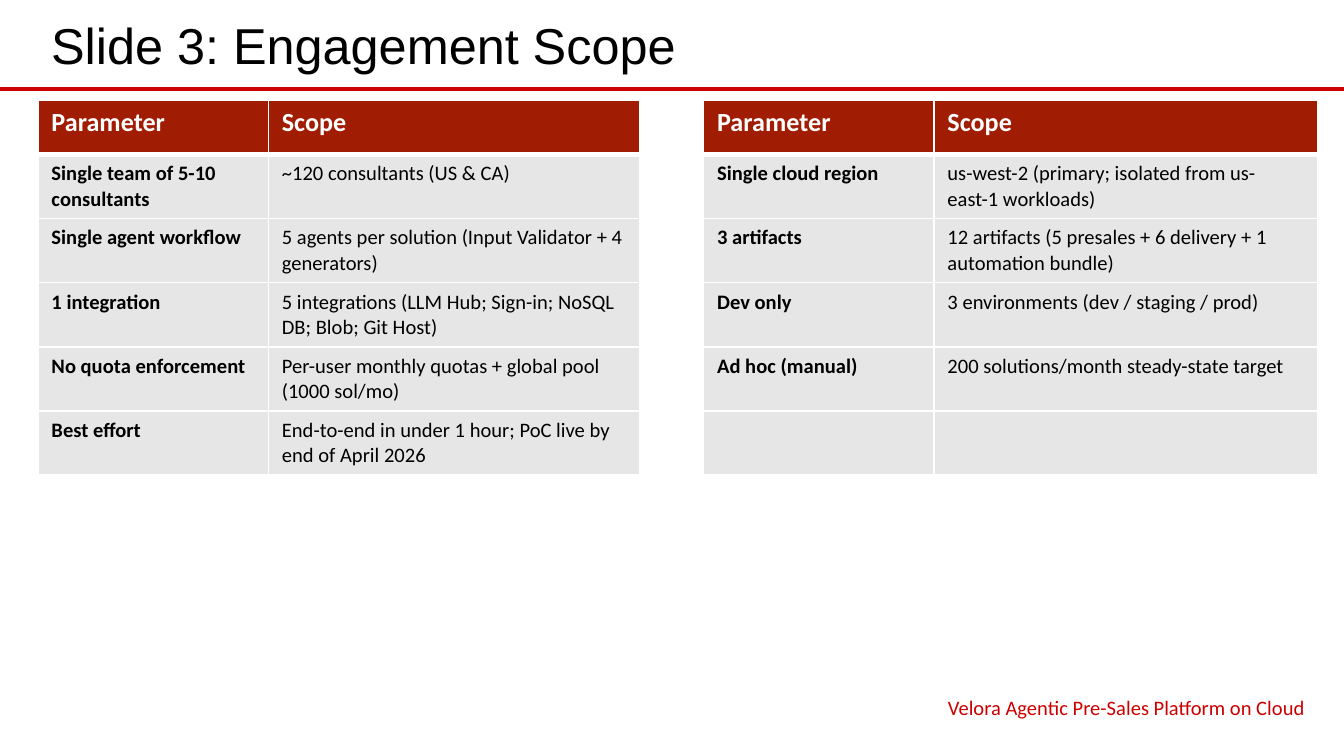
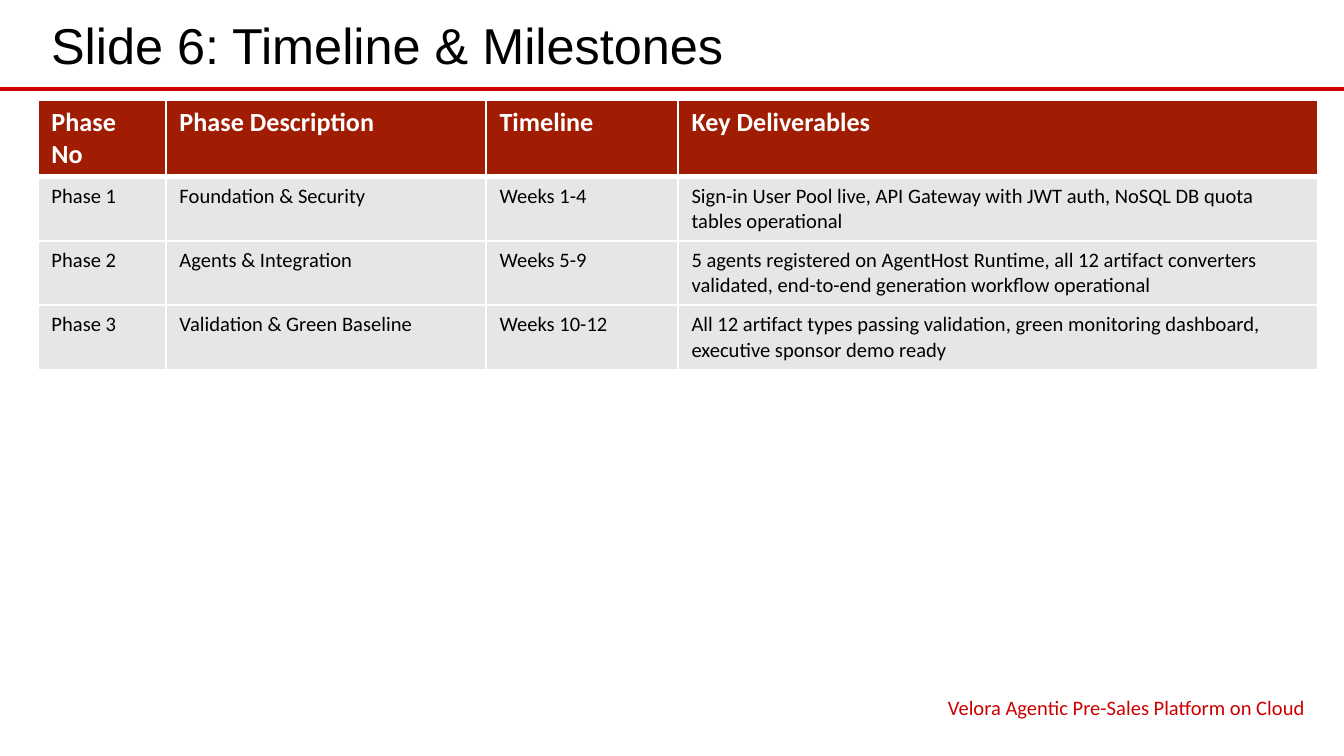
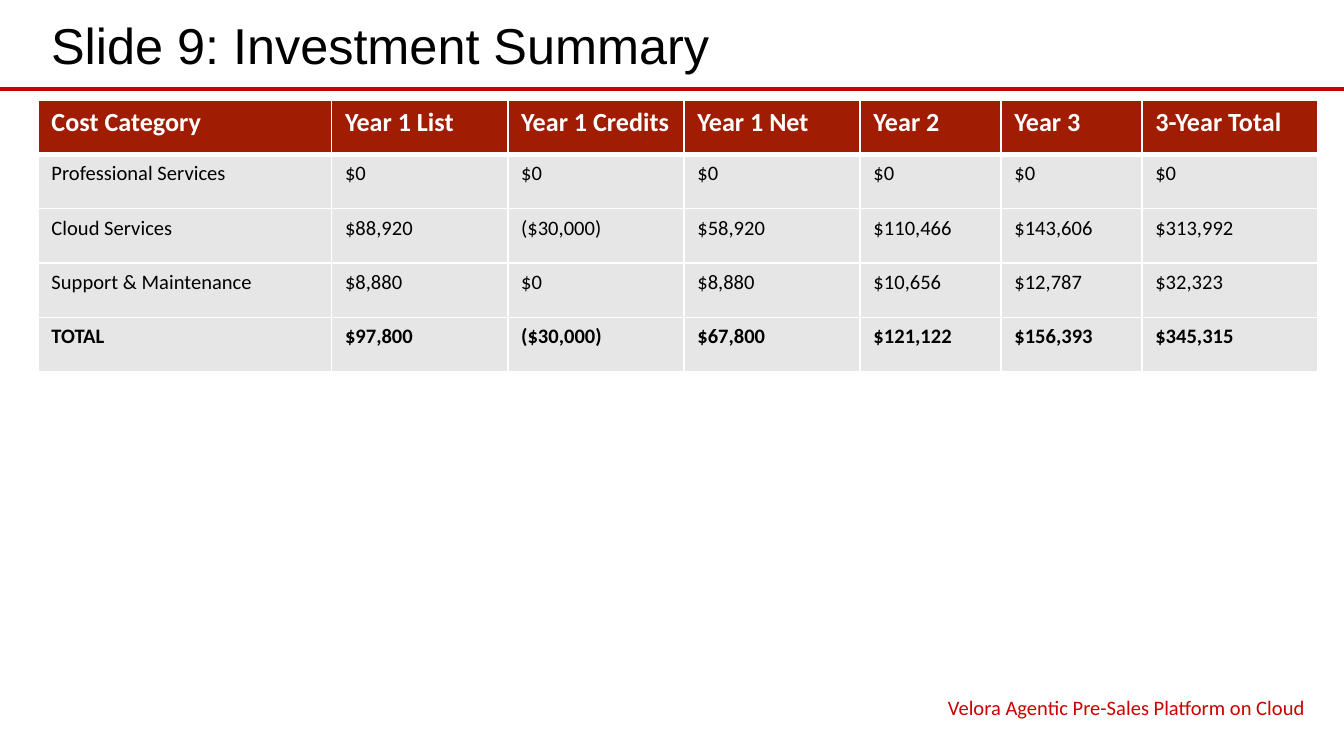
from lxml.etree import SubElement
from pptx import Presentation
from pptx.dml.color import RGBColor
from pptx.enum.shapes import MSO_CONNECTOR as Connector
from pptx.enum.text import MSO_ANCHOR as Anchor, MSO_AUTO_SIZE as AutoSize, PP_ALIGN as Align
from pptx.oxml.ns import qn
from pptx.util import Inches, Pt

COLORS = {
    "rule": "CC0000",
    "header": "A01C02",
    "cell": "E7E6E6",
    "white": "FFFFFF",
    "text": "000000",
}
WIDTH = Inches(10)
HEIGHT = WIDTH * 9 // 16
COLUMN, ROW = WIDTH / 100, HEIGHT / 100
TITLE_BOX = (2.8, 0.7, 95.3, 10.3)
RULE_ROW = 11.75
TABLE_BOX = (2.83, 13.2, 95.25, 7.2)
FOOTER_BOX = (62.9, 91.1, 35.2, 4.6)
FOOTER = "Velora Agentic Pre-Sales Platform on Cloud"

SCOPE_ROWS = [
    ["Parameter", "Scope", "", "Parameter", "Scope"],
    ["Single team of 5-10 consultants", "~120 consultants (US & CA)", "",
     "Single cloud region", "us-west-2 (primary; isolated from us-east-1 workloads)"],
    ["Single agent workflow", "5 agents per solution (Input Validator + 4 generators)", "",
     "3 artifacts", "12 artifacts (5 presales + 6 delivery + 1 automation bundle)"],
    ["1 integration", "5 integrations (LLM Hub; Sign-in; NoSQL DB; Blob; Git Host)", "",
     "Dev only", "3 environments (dev / staging / prod)"],
    ["No quota enforcement", "Per-user monthly quotas + global pool (1000 sol/mo)", "",
     "Ad hoc (manual)", "200 solutions/month steady-state target"],
    ["Best effort", "End-to-end in under 1 hour; PoC live by end of April 2026", "", "", ""],
]
TIMELINE_ROWS = [
    ["Phase No", "Phase Description", "Timeline", "Key Deliverables"],
    ["Phase 1", "Foundation & Security", "Weeks 1-4",
     "Sign-in User Pool live, API Gateway with JWT auth, NoSQL DB quota tables operational"],
    ["Phase 2", "Agents & Integration", "Weeks 5-9",
     "5 agents registered on AgentHost Runtime, all 12 artifact converters validated, "
     "end-to-end generation workflow operational"],
    ["Phase 3", "Validation & Green Baseline", "Weeks 10-12",
     "All 12 artifact types passing validation, green monitoring dashboard, "
     "executive sponsor demo ready"],
]
INVESTMENT_ROWS = [
    ["Cost Category", "Year 1 List", "Year 1 Credits", "Year 1 Net", "Year 2", "Year 3",
     "3-Year Total"],
    ["Professional Services", "$0", "$0", "$0", "$0", "$0", "$0"],
    ["Cloud Services", "$88,920", "($30,000)", "$58,920", "$110,466", "$143,606", "$313,992"],
    ["Support & Maintenance", "$8,880", "$0", "$8,880", "$10,656", "$12,787", "$32,323"],
    ["TOTAL", "$97,800", "($30,000)", "$67,800", "$121,122", "$156,393", "$345,315"],
]


def rgb(name):
    return RGBColor.from_string(COLORS[name])


def on_grid(box):
    left, top, width, height = box
    return round(left * COLUMN), round(top * ROW), round(width * COLUMN), round(height * ROW)


def write(frame, text, size=11, font="Calibri", color="text", bold=False, align=Align.LEFT):
    paragraph = frame.paragraphs[0]
    paragraph.alignment = align
    paragraph.space_before = Pt(0)
    run = paragraph.add_run()
    run.text = text
    run.font.size = Pt(size)
    run.font.name = font
    run.font.bold = bold
    run.font.color.rgb = rgb(color)


def fill_placeholder(holder, box, text, anchor, **style):
    holder.left, holder.top, holder.width, holder.height = on_grid(box)
    frame = holder.text_frame
    frame.auto_size = AutoSize.NONE
    frame.word_wrap = True
    frame.vertical_anchor = anchor
    properties = frame.paragraphs[0]._p.get_or_add_pPr()
    properties.set("marL", "0")
    properties.set("indent", "0")
    SubElement(properties, qn("a:buNone"))
    write(frame, text, **style)


def add_rule(slide):
    y = round(RULE_ROW * ROW)
    rule = slide.shapes.add_connector(Connector.STRAIGHT, 0, y, WIDTH, y)
    rule.line.color.rgb = rgb("rule")
    rule.line.width = Pt(2.25)
    SubElement(rule._element.spPr, qn("a:effectLst"))


def set_borders(cell, top, bottom):
    properties = cell._tc.get_or_add_tcPr()
    for side, points in (("L", 1), ("R", 1), ("T", top), ("B", bottom)):
        border = SubElement(properties, qn(f"a:ln{side}"), w=str(Pt(points)))
        solid = SubElement(border, qn("a:solidFill"))
        SubElement(solid, qn("a:srgbClr"), val=COLORS["white"])


def add_grid(slide, box, rows, shares, bold_columns=(), bold_rows=(), gap=None):
    left, top, width, row_height = on_grid(box)
    table = slide.shapes.add_table(
        len(rows), len(shares), left, top, width, row_height * len(rows)).table
    table.horz_banding = False
    for column, share in zip(table.columns, shares):
        column.width = round(width * share / sum(shares))
    for r, entries in enumerate(rows):
        table.rows[r].height = row_height
        header = r == 0
        style = dict(size=14, color="white") if header else {}
        for c, text in enumerate(entries):
            cell = table.cell(r, c)
            set_borders(cell, 3 if r == 1 else 1, 3 if header else 1)
            cell.fill.solid()
            cell.fill.fore_color.rgb = rgb(
                "white" if c == gap else "header" if header else "cell")
            if text:
                bold = header or c in bold_columns or r in bold_rows
                write(cell.text_frame, text, bold=bold, **style)


def table_slide(deck, title, rows, shares, **emphasis):
    slide = deck.slides.add_slide(deck.slide_layouts[1])
    add_rule(slide)
    fill_placeholder(slide.shapes.title, TITLE_BOX, title, Anchor.MIDDLE, size=27, font="Arial")
    add_grid(slide, TABLE_BOX, rows, shares, **emphasis)
    fill_placeholder(slide.placeholders[1], FOOTER_BOX, FOOTER, Anchor.TOP,
                     color="rule", align=Align.RIGHT)


def main():
    deck = Presentation()
    deck.slide_width, deck.slide_height = WIDTH, HEIGHT
    table_slide(deck, "Slide 3: Engagement Scope", SCOPE_ROWS, (18, 29, 5, 18, 30),
                bold_columns=(0, 3), gap=2)
    table_slide(deck, "Slide 6: Timeline & Milestones", TIMELINE_ROWS, (10, 25, 15, 50))
    table_slide(deck, "Slide 9: Investment Summary", INVESTMENT_ROWS,
                (25, 15, 15, 15, 12, 12, 15), bold_rows=(len(INVESTMENT_ROWS) - 1,))
    deck.save("out.pptx")


if __name__ == "__main__":
    main()
